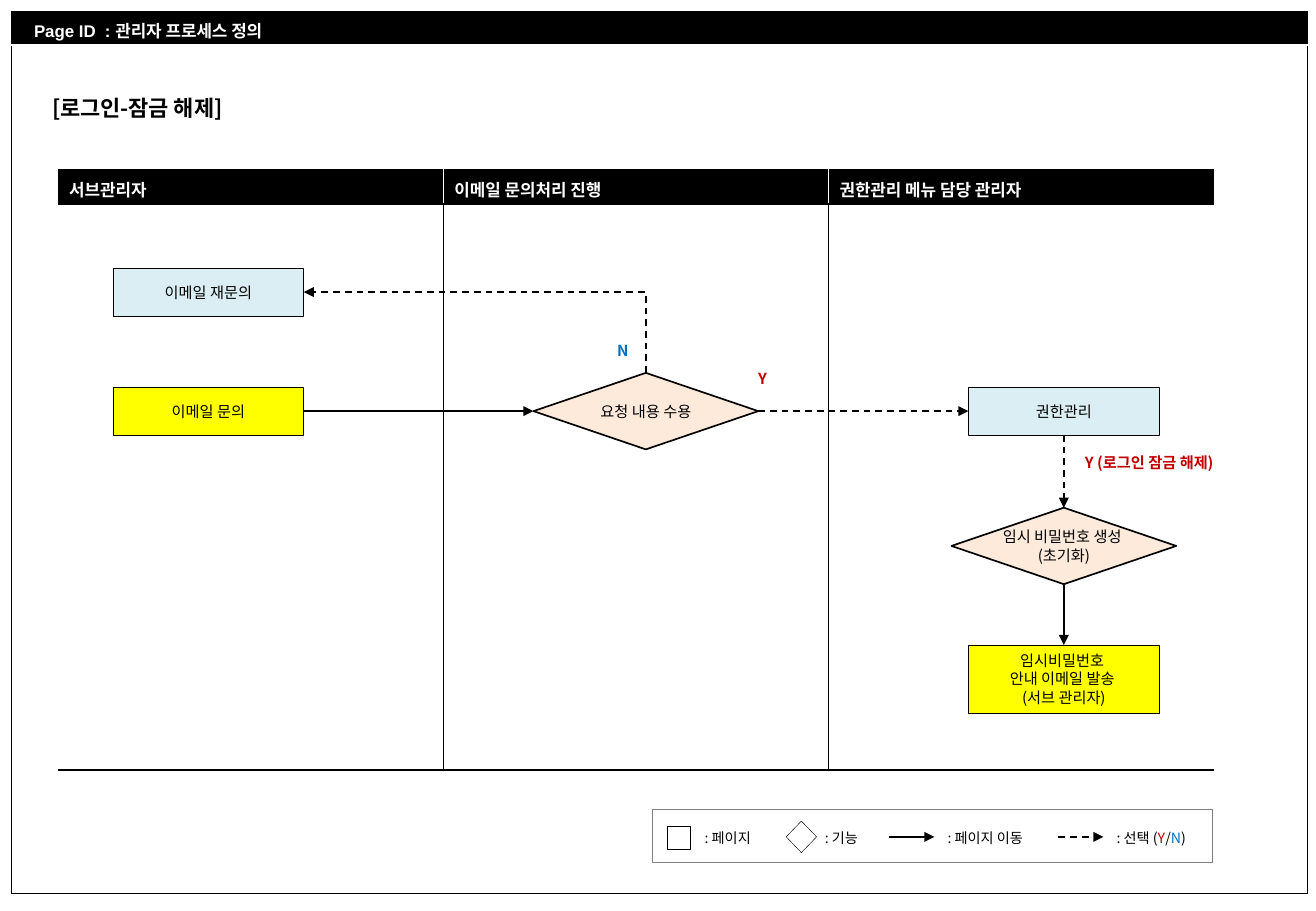
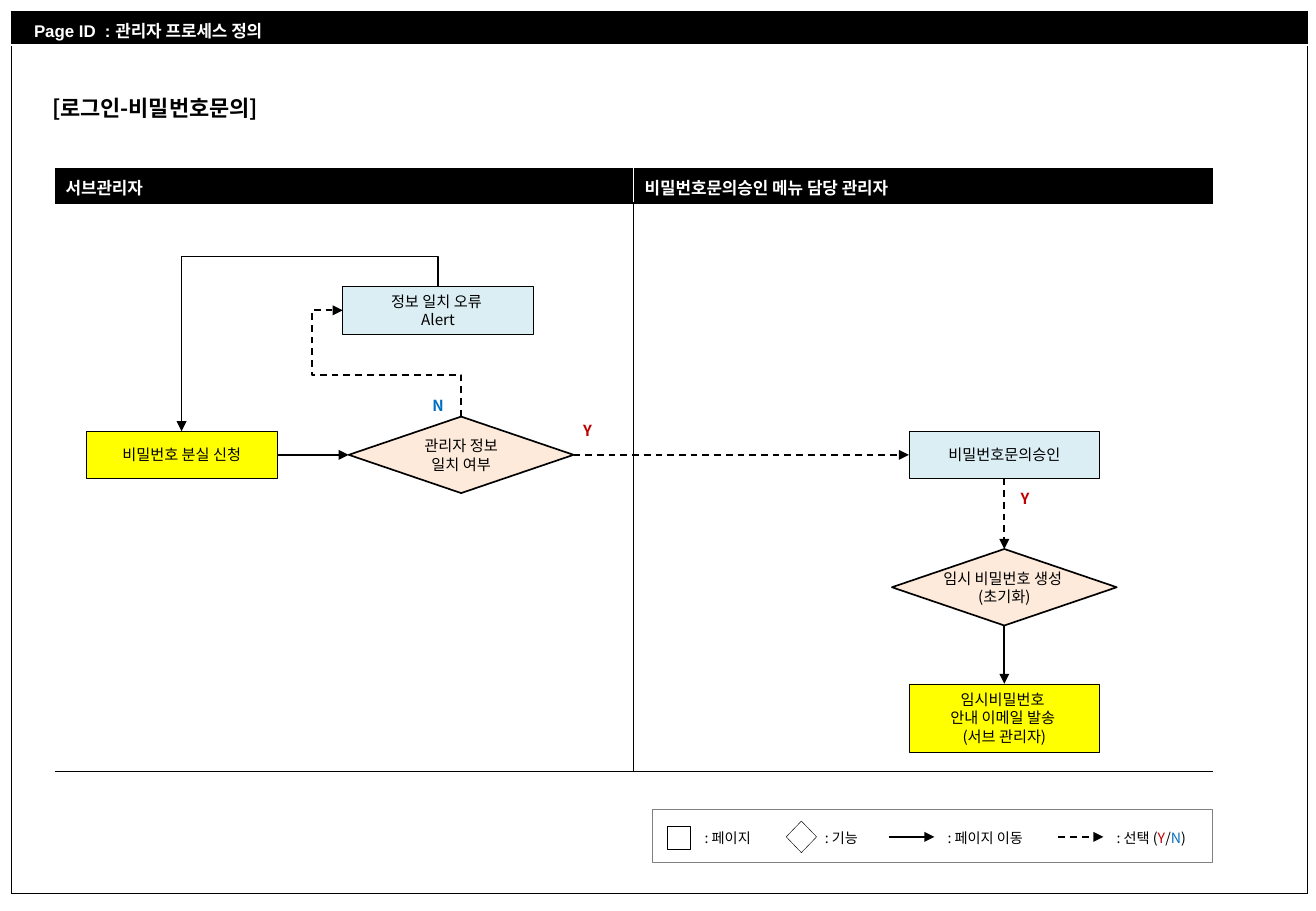
from lxml.etree import SubElement
from pptx import Presentation
from pptx.dml.color import RGBColor
from pptx.enum.dml import MSO_LINE
from pptx.enum.shapes import MSO_CONNECTOR as CONN, MSO_SHAPE as SHAPE
from pptx.enum.text import MSO_ANCHOR, MSO_AUTO_SIZE, PP_ALIGN
from pptx.oxml.ns import qn
from pptx.util import Inches, Pt

BLACK = RGBColor(0, 0, 0)
WHITE = RGBColor(255, 255, 255)
GRAY = RGBColor(0x80, 0x80, 0x80)
YELLOW = RGBColor(255, 255, 0)
BLUE_FILL = RGBColor(0xDB, 0xEE, 0xF4)
PEACH = RGBColor(0xFD, 0xEA, 0xDA)
RED = RGBColor(0xC0, 0, 0)
BLUE = RGBColor(0, 0x70, 0xC0)
KR = "Noto Sans CJK KR"
TOP, LEFT, BOTTOM, RIGHT = range(4)
PAGE_W, PAGE_H = 1.57, 0.39
MAIL_H = 0.56
DEC_W, DEC_H = 1.85, 0.63


def style(p, size, color=BLACK, bold=False, font=KR):
    p.font.size = Pt(size)
    p.font.bold = bold
    p.font.color.rgb = color
    p.font.name = font
    def_rpr = p._p.pPr.find(qn("a:defRPr"))
    SubElement(def_rpr, qn("a:ea"), typeface=KR)


def add_label(s, x, y, w, h, runs, size=8.4, color=BLACK, bold=False, wrap=False):
    sp = s.shapes.add_textbox(Inches(x), Inches(y), Inches(w), Inches(h))
    tf = sp.text_frame
    tf.word_wrap = wrap
    tf.auto_size = MSO_AUTO_SIZE.SHAPE_TO_FIT_TEXT
    p = tf.paragraphs[0]
    style(p, size, color, bold)
    for text, run_color in runs:
        r = p.add_run()
        r.text = text
        if run_color is not None:
            r.font.color.rgb = run_color


def add_answer(s, x, y, text, color, w=0.29):
    add_label(s, x, y, w, 0.25, [(text, None)], 9, color, True)


def add_box(s, kind, x, y, w, h, fill=None, line=BLACK, weight=0.25):
    sp = s.shapes.add_shape(kind, Inches(x), Inches(y), Inches(w), Inches(h))
    sp.shadow.inherit = False
    if fill is None:
        sp.fill.background()
    else:
        sp.fill.solid()
        sp.fill.fore_color.rgb = fill
    sp.line.color.rgb = line
    sp.line.width = Pt(weight)
    return sp


def write_lines(sp, lines, wrap):
    tf = sp.text_frame
    tf.word_wrap = wrap
    tf.vertical_anchor = MSO_ANCHOR.MIDDLE
    for i, text in enumerate(lines):
        p = tf.add_paragraph() if i else tf.paragraphs[0]
        p.alignment = PP_ALIGN.CENTER
        style(p, 9)
        p.add_run().text = text
    return sp


def add_page(s, x, y, lines, fill, h=PAGE_H):
    return write_lines(add_box(s, SHAPE.RECTANGLE, x, y, PAGE_W, h, fill), lines, True)


def add_decision(s, x, y, lines):
    sp = add_box(s, SHAPE.FLOWCHART_DECISION, x, y, DEC_W, DEC_H, PEACH, weight=1)
    return write_lines(sp, lines, False)


def add_arrow(s, begin, end, dashed=False, kind=CONN.STRAIGHT):
    c = s.shapes.add_connector(kind, *begin, *end)
    c.line.color.rgb = BLACK
    c.line.width = Pt(1)
    if dashed:
        c.line.dash_style = MSO_LINE.DASH
    SubElement(c.line._get_or_add_ln(), qn("a:tailEnd"), type="triangle")
    SubElement(c._element.spPr, qn("a:effectLst"))
    return c


def link(s, source, source_site, target, target_site, dashed=False, kind=CONN.STRAIGHT):
    c = add_arrow(s, (0, 0), (0, 0), dashed, kind)
    c.begin_connect(source, source_site)
    c.end_connect(target, target_site)
    return c


def link_upward(s, source, target, target_site, preset, adjusts=(), dashed=False):
    c = link(s, source, TOP, target, target_site, dashed, CONN.ELBOW)
    dx, dy = c.end_x - c.begin_x, c.end_y - c.begin_y
    mid_x, mid_y = (c.begin_x + c.end_x) // 2, (c.begin_y + c.end_y) // 2
    c.width, c.height = abs(dy), abs(dx)
    c.left, c.top = mid_x - c.width // 2, mid_y - c.height // 2
    xfrm = c._element.spPr.find(qn("a:xfrm"))
    xfrm.set("rot", "16200000")
    xfrm.set("flipH", str(int(dy > 0)))
    xfrm.set("flipV", str(int(dx < 0)))
    geom = c._element.spPr.find(qn("a:prstGeom"))
    geom.set("prst", preset)
    for i, value in enumerate(adjusts, 1):
        name = f"adj{i}" if preset != "bentConnector2" else "adj"
        SubElement(geom.find(qn("a:avLst")), qn("a:gd"), name=name,
                   fmla=f"val {round(value * 100000)}")


def set_borders(cell, **sides):
    tc_pr = cell._tc.get_or_add_tcPr()
    for i, side in enumerate("LRTB"):
        color, weight = sides.get(side, (None, 0))
        ln = tc_pr.makeelement(qn(f"a:ln{side}"), {"w": str(Pt(weight))})
        if color is None:
            SubElement(ln, qn("a:noFill"))
        else:
            SubElement(SubElement(ln, qn("a:solidFill")), qn("a:srgbClr"), val=str(color))
        tc_pr.insert(i, ln)


def add_grid(s, x, y, w, row_heights, columns):
    frame = s.shapes.add_table(len(row_heights), columns, Inches(x), Inches(y),
                               Inches(w), Inches(sum(row_heights)))
    table = frame.table
    table.first_row = table.horz_banding = False
    for row, height in zip(table.rows, row_heights):
        row.height = Inches(height)
    for column in table.columns:
        column.width = Inches(w / columns)
    for cell in table.iter_cells():
        cell.fill.background()
    return frame


def write_header(cell, text, left, font=KR):
    cell.fill.solid()
    cell.fill.fore_color.rgb = BLACK
    cell.vertical_anchor = MSO_ANCHOR.MIDDLE
    cell.margin_left = Inches(left)
    cell.margin_top, cell.margin_bottom = Inches(0.05), Inches(0.02)
    p = cell.text_frame.paragraphs[0]
    style(p, 10, WHITE, True, font)
    p.add_run().text = text


def add_page_frame(s, layout):
    frame = add_grid(s, 0.09, 0.09, 10.67, [0.28, 6.98], 1)
    head, body = frame.table.iter_cells()
    write_header(head, "Page ID  : 관리자 프로세스 정의", 0.19, "Arial")
    edge, seam = (BLACK, 0.25), (WHITE, 1)
    set_borders(head, L=edge, R=edge, T=edge, B=seam)
    set_borders(body, L=edge, R=edge, T=seam, B=edge)
    layout.shapes._spTree.append(frame._element)


def add_lanes(s, x, y, w, body_h, names):
    table = add_grid(s, x, y, w, [0.28, body_h], len(names)).table
    for i, name in enumerate(names):
        write_header(table.cell(0, i), name, 0.09)
        for row, color in enumerate((WHITE, BLACK)):
            sides = {"T": (BLACK, 1), "B": (BLACK, 1)}
            if i > 0:
                sides["L"] = (color, 1)
            if i < len(names) - 1:
                sides["R"] = (color, 1)
            set_borders(table.cell(row, i), **sides)


def add_legend(s, x, y):
    add_box(s, SHAPE.RECTANGLE, x + 0.12, y + 0.14, 0.19, 0.19, WHITE)
    add_box(s, SHAPE.DIAMOND, x + 1.1, y + 0.1, 0.25, 0.26, WHITE)
    for dx, dashed in ((1.95, False), (3.34, True)):
        line_y = Inches(y + 0.23)
        add_arrow(s, (Inches(x + dx), line_y), (Inches(x + dx + 0.37), line_y), dashed)
    for dx, w, text in ((0.33, 0.62, ": 페이지"), (1.32, 0.5, ": 기능"),
                        (2.33, 0.9, ": 페이지 이동")):
        add_label(s, x + dx, y + 0.12, w, 0.24, [(text, None)])
    choice = [(": 선택 (", None), ("Y", RED), ("/", None), ("N", BLUE), (")", None)]
    add_label(s, x + 3.72, y + 0.12, 0.82, 0.24, choice, wrap=True)
    add_box(s, SHAPE.RECTANGLE, x, y, 4.61, 0.44, line=GRAY)


def add_reset_flow(s, x, tops, page_name):
    page_y, reset_y, mail_y = tops
    page = add_page(s, x, page_y, [page_name], BLUE_FILL)
    reset = add_decision(s, x - (DEC_W - PAGE_W) / 2, reset_y,
                         ["임시 비밀번호 생성 ", "(초기화)"])
    mail = add_page(s, x, mail_y, ["임시비밀번호 ", "안내 이메일 발송 ", "(서브 관리자)"],
                    YELLOW, MAIL_H)
    link(s, page, BOTTOM, reset, TOP, True)
    link(s, reset, BOTTOM, mail, TOP)
    return page


def start_slide(prs, layout, title):
    s = prs.slides.add_slide(layout)
    add_label(s, 0.33, 0.73, 2.1, 0.32, [(title, None)], 13, bold=True, wrap=True)
    add_legend(s, 5.37, 6.66)
    return s


def add_unlock_slide(prs, layout):
    s = start_slide(prs, layout, "[로그인-잠금 해제]")
    add_lanes(s, 0.48, 1.4, 9.51, 4.66,
              ["서브관리자", "이메일 문의처리 진행", "권한관리 메뉴 담당 관리자"])
    inquiry = add_page(s, 0.93, 3.19, ["이메일 문의"], YELLOW)
    retry = add_page(s, 0.93, 2.21, ["이메일 재문의"], BLUE_FILL)
    accept = add_decision(s, 4.39, 3.07, ["요청 내용 수용"])
    rights = add_reset_flow(s, 7.97, (3.19, 4.18, 5.31), "권한관리")
    link(s, inquiry, RIGHT, accept, LEFT)
    link(s, accept, RIGHT, rights, LEFT, True)
    link_upward(s, accept, retry, RIGHT, "bentConnector2", dashed=True)
    add_answer(s, 4.98, 2.76, "N", BLUE)
    add_answer(s, 6.14, 2.99, "Y", RED)
    add_answer(s, 8.83, 3.68, "Y (로그인 잠금 해제)", RED, 1.37)
    return s


def add_password_slide(prs, layout):
    s = start_slide(prs, layout, "[로그인-비밀번호문의]")
    add_lanes(s, 0.45, 1.39, 9.53, 4.68, ["서브관리자", "비밀번호문의승인 메뉴 담당 관리자"])
    request = add_page(s, 0.71, 3.55, ["비밀번호 분실 신청"], YELLOW)
    alert = add_page(s, 2.82, 2.36, ["정보 일치 오류 ", "Alert"], BLUE_FILL)
    match = add_decision(s, 2.87, 3.43, ["관리자 정보", "일치 여부"])
    approval = add_reset_flow(s, 7.48, (3.55, 4.52, 5.63), "비밀번호문의승인")
    link(s, request, RIGHT, match, LEFT)
    link(s, match, RIGHT, approval, LEFT, True)
    link_upward(s, match, alert, LEFT, "bentConnector4", (0.39, 1.26), True)
    link_upward(s, alert, request, TOP, "bentConnector3", (-0.21,))
    add_answer(s, 3.46, 3.21, "N", BLUE)
    add_answer(s, 4.7, 3.42, "Y", RED)
    add_answer(s, 8.3, 3.98, "Y", RED)


prs = Presentation()
prs.slide_width, prs.slide_height = Inches(10.83), Inches(7.5)
blank = prs.slide_layouts[6]
first = add_unlock_slide(prs, blank)
add_page_frame(first, blank)
add_password_slide(prs, blank)
prs.save("out.pptx")
